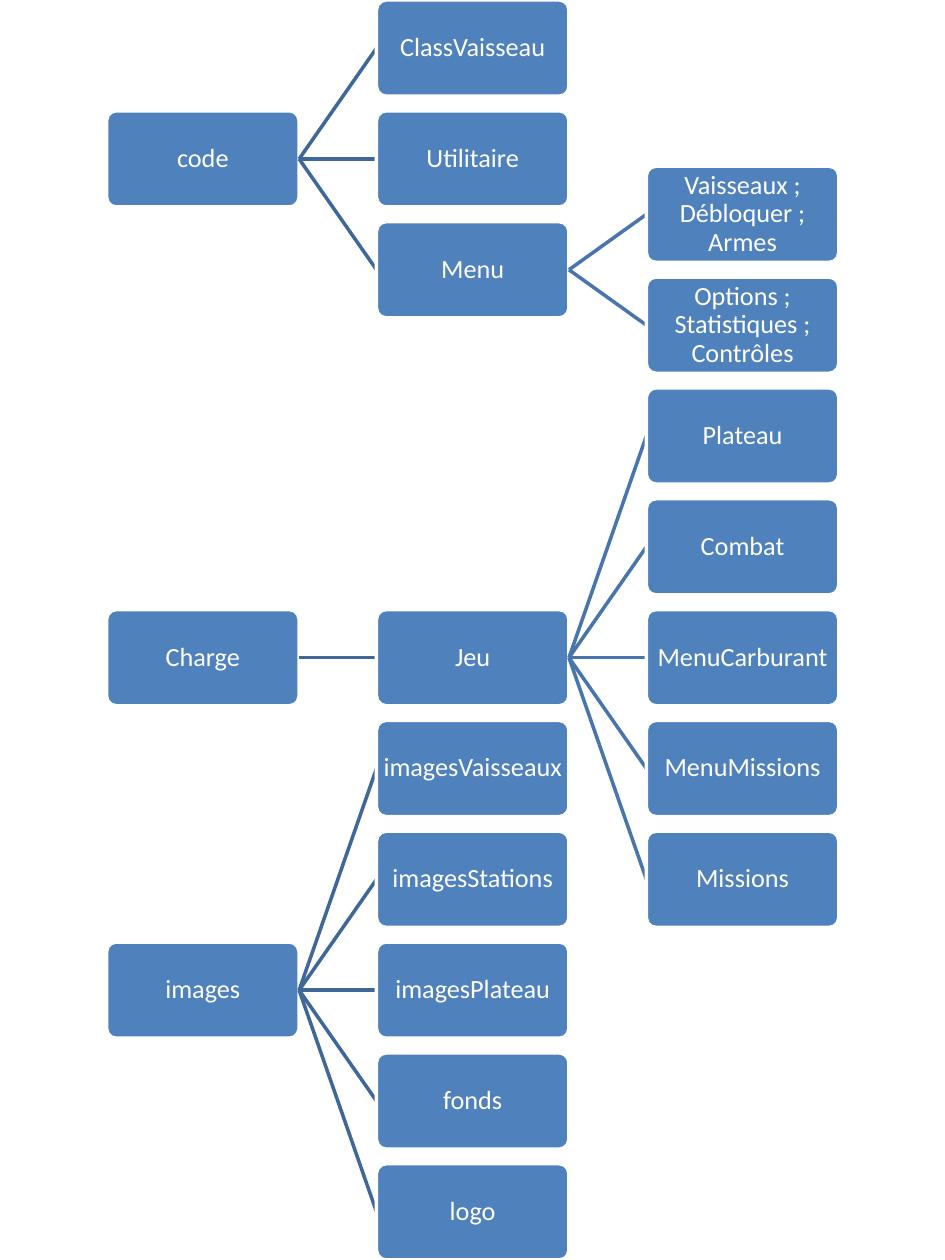
from pptx import Presentation
from pptx.dml.color import RGBColor as RGB
from pptx.enum.shapes import MSO_CONNECTOR as LINK, MSO_SHAPE as SHAPE
from pptx.enum.text import MSO_ANCHOR as ANCHOR, PP_ALIGN as ALIGN
from pptx.oxml.ns import qn
from pptx.util import Cm, Pt
from lxml.etree import SubElement as Sub


def tint(fmt, code):
    fmt.rgb = RGB.from_string(code)


def style(item, form):
    for key, val in form.items():
        setattr(item, key, val)


deck = Presentation()
style(deck, {"slide_width": Cm(19.05), "slide_height": Cm(25.4)})
slide = deck.slides.add_slide(deck.slide_layouts[6])

wide, high = 3.88, 1.94
left, col_gap = 2.15, 5.44
row_gap = (25.4 - high) / 10.5
edges = {1: "3F6797", 2: "4875AC"}

frame_form = {"word_wrap": True, "vertical_anchor": ANCHOR.MIDDLE}
for side in ("left", "top", "right", "bottom"):
    frame_form["margin_" + side] = Cm(0.03)
para_form = {"alignment": ALIGN.CENTER, "line_spacing": 0.9}
font_form = {"name": "Calibri", "size": Pt(15)}

nodes = [
    ("code", 0, 1),
    ("ClassVaisseau", 1, 0),
    ("Utilitaire", 1, 1),
    ("Menu", 1, 2),
    ("Vaisseaux ; Débloquer ; Armes", 2, 1.5),
    ("Options ; Statistiques ; Contrôles", 2, 2.5),
    ("Charge", 0, 5.5),
    ("Jeu", 1, 5.5),
    ("Plateau", 2, 3.5),
    ("Combat", 2, 4.5),
    ("MenuCarburant", 2, 5.5),
    ("MenuMissions", 2, 6.5),
    ("Missions", 2, 7.5),
    ("images", 0, 8.5),
    ("imagesVaisseaux", 1, 6.5),
    ("imagesStations", 1, 7.5),
    ("imagesPlateau", 1, 8.5),
    ("fonds", 1, 9.5),
    ("logo", 1, 10.5),
]

last = {}
for text, col, row in nodes:
    if col:
        link = slide.shapes.add_connector(LINK.STRAIGHT, 0, 0, 0, 0)
        link.begin_connect(last[col - 1], 3)
        link.line.width = Pt(2)
        tint(link.line.color, edges[col])
        Sub(link._element.spPr, qn("a:effectLst"))

    box = slide.shapes.add_shape(
        SHAPE.ROUNDED_RECTANGLE,
        Cm(left + col * col_gap), Cm(row * row_gap), Cm(wide), Cm(high))
    box.adjustments[0] = 0.1
    box.shadow.inherit = False
    box.fill.solid()
    tint(box.fill.fore_color, "4F81BD")
    box.line.width = Pt(2)
    tint(box.line.color, "FFFFFF")

    frame = box.text_frame
    style(frame, frame_form)
    para = frame.paragraphs[0]
    style(para, para_form)
    run = para.add_run()
    run.text = text
    style(run.font, font_form)
    tint(run.font.color, "FFFFFF")

    if col:
        link.end_connect(box, 1)
    last[col] = box

deck.save("out.pptx")
